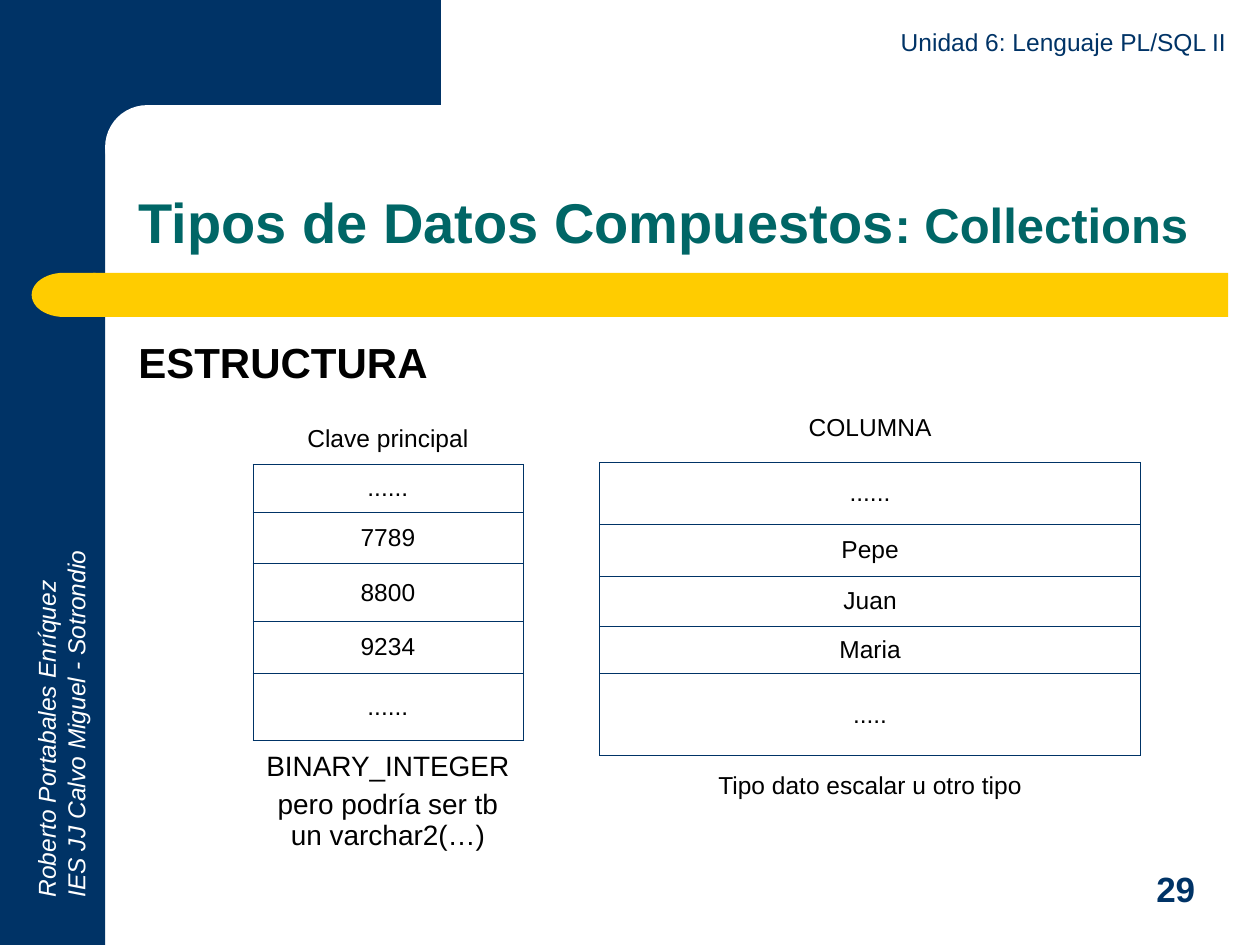
from lxml.etree import SubElement
from pptx import Presentation
from pptx.dml.color import RGBColor
from pptx.enum.shapes import MSO_SHAPE as Shape
from pptx.enum.text import MSO_ANCHOR as Anchor, MSO_AUTO_SIZE as AutoSize, PP_ALIGN as Align
from pptx.oxml.ns import qn
from pptx.util import Cm, Pt

COLORS = {"navy": "003366", "yellow": "FFCC00", "teal": "006666",
          "white": "FFFFFF", "black": "000000"}
FONT = "Arial"
BORDER_WIDTH = Pt(0.45)


def color(name):
    """Return the named colour."""
    return RGBColor.from_string(COLORS[name])


def format_runs(paragraph, size, color_name, bold=False, italic=False):
    """Format every run of a paragraph."""
    for run in paragraph.runs:
        font = run.font
        font.name, font.size = FONT, Pt(size)
        font.bold, font.italic = bold, italic
        font.color.rgb = color(color_name)


def add_block(slide, kind, box, color_name, corner=None):
    """Add a filled decorative shape without outline."""
    shape = slide.shapes.add_shape(kind, *map(Cm, box))
    shape.shadow.inherit = False
    shape.fill.solid()
    shape.fill.fore_color.rgb = color(color_name)
    shape.line.fill.background()
    if corner is not None:
        shape.adjustments[0] = corner
    return shape


def add_text(slide, box, text, size, color_name, align=Align.LEFT,
             anchor=Anchor.TOP, bold=False, italic=False):
    """Add a wrapped text box and return it."""
    shape = slide.shapes.add_textbox(*map(Cm, box))
    frame = shape.text_frame
    frame.word_wrap = True
    frame.vertical_anchor = anchor
    frame.text = text
    for paragraph in frame.paragraphs:
        paragraph.alignment = align
        format_runs(paragraph, size, color_name, bold, italic)
    return shape


def set_title(slide, parts):
    """Place the title and give each part its own size."""
    title = slide.shapes.title
    title.left, title.top, title.width, title.height = map(Cm, (2.54, 2.12, 22.23, 3.17))
    frame = title.text_frame
    frame.word_wrap = True
    frame.auto_size = AutoSize.NONE
    frame.vertical_anchor = Anchor.BOTTOM
    paragraph = frame.paragraphs[0]
    paragraph.alignment = Align.LEFT
    paragraph.line_spacing = 0.9
    for text, _ in parts:
        paragraph.add_run().text = text
    format_runs(paragraph, 32, "teal", bold=True)
    for run, (_, size) in zip(paragraph.runs, parts):
        run.font.size = Pt(size)


def set_borders(cell, visible):
    """Draw the visible sides of a cell and hide the others."""
    properties = cell._tc.get_or_add_tcPr()
    for index, side in enumerate("LRTB"):
        line = SubElement(properties, qn(f"a:ln{side}"), w=str(BORDER_WIDTH))
        if side in visible:
            fill = SubElement(line, qn("a:solidFill"))
            SubElement(fill, qn("a:srgbClr"), val=COLORS["navy"])
        else:
            SubElement(line, qn("a:noFill"))
        properties.insert(index, line)


def add_column(slide, left, top, width, rows, caption_size=14):
    """Add a one-column table with an open heading and an open caption."""
    height = sum(row_height for _, row_height in rows)
    table = slide.shapes.add_table(len(rows), 1, *map(Cm, (left, top, width, height))).table
    table.first_row = table.horz_banding = False
    last = len(rows) - 1
    for index, (text, row_height) in enumerate(rows):
        table.rows[index].height = Cm(row_height)
        cell = table.cell(index, 0)
        cell.text = text
        cell.vertical_anchor = Anchor.MIDDLE
        cell.fill.background()
        set_borders(cell, {0: "B", last: "T"}.get(index, "LRTB"))
        for position, paragraph in enumerate(cell.text_frame.paragraphs):
            paragraph.alignment = Align.CENTER
            paragraph.space_before = Pt(4 if position else 0)
            format_runs(paragraph, caption_size if index == last else 14, "black")


def add_decoration(slide):
    """Add the navy corner and the yellow bar."""
    add_block(slide, Shape.RECTANGLE, (0, 0, 2.12, 19.05), "navy")
    add_block(slide, Shape.RECTANGLE, (1.9, 0, 6.99, 2.96), "navy")
    add_block(slide, Shape.ROUNDED_RECTANGLE, (2.12, 2.12, 14.17, 1.69), "white", 0.5)
    add_block(slide, Shape.ROUNDED_RECTANGLE, (1.88, 5.5, 22.88, 0.89), "yellow", 0)
    cap = add_block(slide, Shape.FLOWCHART_DELAY, (0.64, 5.5, 1.29, 0.89), "yellow")
    cap._element.spPr.get_or_add_xfrm().set("flipH", "1")


def main():
    """Build the slide and save it."""
    presentation = Presentation()
    presentation.slide_width, presentation.slide_height = Cm(25.4), Cm(19.05)
    slide = presentation.slides.add_slide(presentation.slide_layouts[5])

    add_decoration(slide)
    author = add_text(slide, (-2.97, 13.41, 8.41, 1.45),
                      "Roberto Portabales Enríquez\nIES JJ Calvo Miguel - Sotrondio",
                      14, "white", italic=True)
    author.rotation = 270
    add_text(slide, (9.09, 0.41, 15.88, 0.86), "Unidad 6: Lenguaje PL/SQL II",
             14, "navy", Align.RIGHT, Anchor.BOTTOM)
    add_text(slide, (23.06, 17.35, 1.91, 1.12), "29", 20, "navy",
             anchor=Anchor.MIDDLE, bold=True)
    set_title(slide, [("Tipos de Datos Compuestos", 32), (": Collections", 28)])
    add_text(slide, (2.54, 6.65, 22.35, 1.3), "ESTRUCTURA", 24, "black", bold=True)

    add_column(slide, 12.09, 7.92, 10.9, [
        ("COLUMNA", 1.4), ("......", 1.25), ("Pepe", 1.05), ("Juan", 1.01),
        ("Maria", 0.95), (".....", 1.65), ("Tipo dato escalar u otro tipo", 1.24)])
    add_column(slide, 5.1, 8.32, 5.44, [
        ("Clave principal", 1.04), ("......", 0.97), ("7789", 1.03), ("8800", 1.17),
        ("9234", 1.04), ("......", 1.36),
        ("BINARY_INTEGER\npero podría ser tb un varchar2(…)", 2.44)], caption_size=16)

    presentation.save("out.pptx")


if __name__ == "__main__":
    main()
